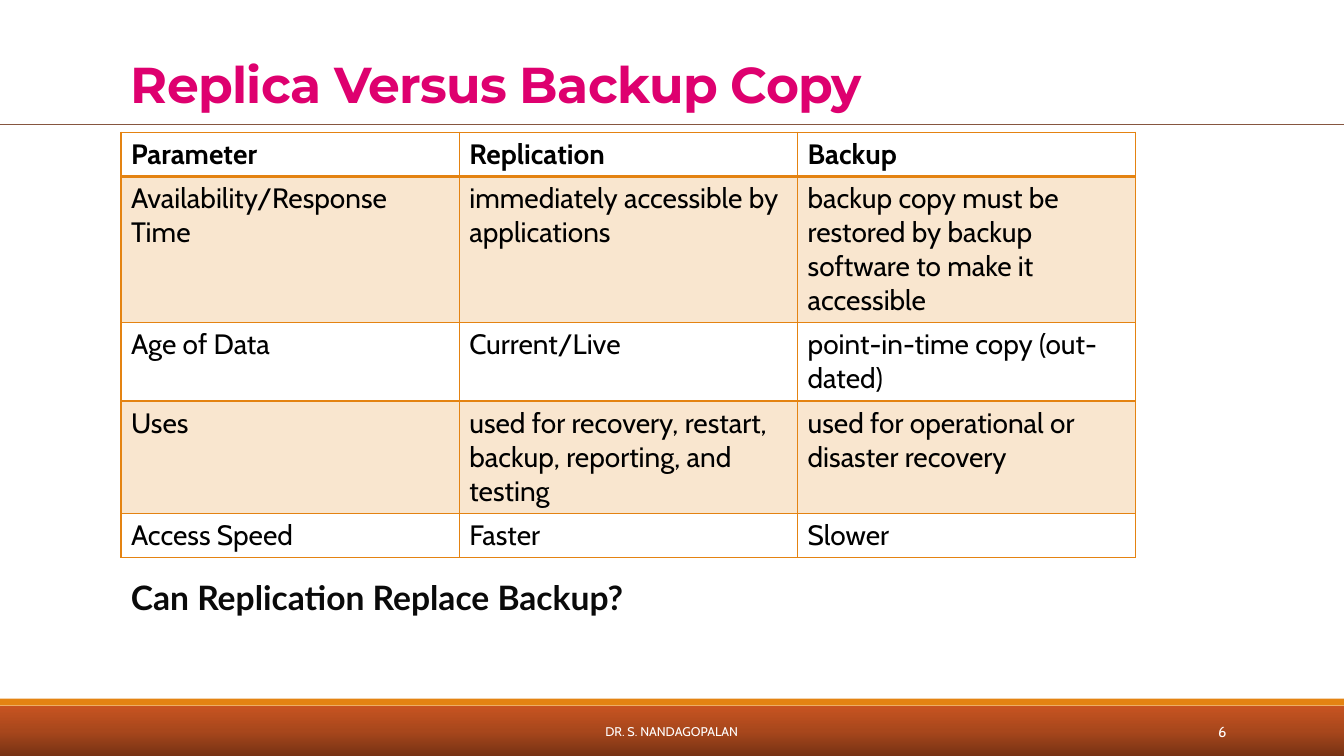
from copy import deepcopy
from dataclasses import dataclass

from lxml import etree
from pptx import Presentation
from pptx.dml.color import RGBColor
from pptx.enum.shapes import MSO_CONNECTOR, MSO_SHAPE
from pptx.enum.text import MSO_ANCHOR, PP_ALIGN
from pptx.oxml.ns import qn
from pptx.util import Pt

RECT = MSO_SHAPE.RECTANGLE
LINE = MSO_CONNECTOR.STRAIGHT
TOP, MID, LOW = MSO_ANCHOR.TOP, MSO_ANCHOR.MIDDLE, MSO_ANCHOR.BOTTOM
LEFT, CENTER, RIGHT = PP_ALIGN.LEFT, PP_ALIGN.CENTER, PP_ALIGN.RIGHT


@dataclass(frozen=True)
class Theme:
    pink: str = "DE006F"
    orange: str = "E48312"
    brown: str = "865640"
    ink: str = "0A0A0A"
    black: str = "000000"
    white: str = "FFFFFF"
    fade: tuple = ("763214", "A8471C", "C85421")
    head: str = "Montserrat"
    body: str = "Cabin"
    ask: str = "Lato"
    title: float = 36
    note: float = 24
    cell: float = 20
    page: float = 10.5
    foot: float = 9


theme = Theme()


def add_run(para, text, font, size, color, bold=False):
    run = para.add_run()
    run.text = text
    run.font.name, run.font.size, run.font.bold = font, Pt(size), bold
    run.font.color.rgb = RGBColor.from_string(color)
    return run


def add_box(place, anchor, align, wrap=True):
    frame = slide.shapes.add_textbox(*map(Pt, place)).text_frame
    frame.word_wrap, frame.vertical_anchor = wrap, anchor
    frame.paragraphs[0].alignment = align
    return frame.paragraphs[0]


deck = Presentation()
deck.slide_width, deck.slide_height = Pt(960), Pt(540)
slide = deck.slides.add_slide(deck.slide_layouts[6])

# Footer bands
base = slide.shapes.add_shape(RECT, Pt(0), Pt(504), Pt(960), Pt(36))
base.fill.gradient()
base.fill.gradient_angle = 90
stops = base.fill._fill._gradFill.find(qn("a:gsLst"))
stops.insert(1, deepcopy(stops[0]))
for stop, place, color in zip(base.fill.gradient_stops, (0, 0.5, 1), theme.fade):
    stop.position = place
    stop.color.rgb = RGBColor.from_string(color)
strip = slide.shapes.add_shape(RECT, Pt(0), Pt(499), Pt(960), Pt(5))
strip.fill.solid()
strip.fill.fore_color.rgb = RGBColor.from_string(theme.orange)
for band in (base, strip):
    band.shadow.inherit = False
    band.line.fill.background()

# Rule under the title
rule = slide.shapes.add_connector(LINE, Pt(0), Pt(89), Pt(968), Pt(89))
rule.line.width = Pt(1.25)
rule.line.color.rgb = RGBColor.from_string(theme.brown)
etree.SubElement(rule._element.spPr, qn("a:effectLst"))

# Title
para = add_box((86.4, 22.3, 725, 62.6), LOW, LEFT)
para.line_spacing = 0.85
run = add_run(para, "Replica Versus Backup Copy", theme.head, theme.title, theme.pink, True)
run.font._element.set("spc", "-50")

# Comparison table
rows = [
    ("Parameter", "Replication", "Backup"),
    ("Availability/Response Time", "immediately accessible by applications",
     "backup copy must be restored by backup software to make it accessible"),
    ("Age of Data", "Current/Live", "point-in-time copy (out-dated)"),
    ("Uses", "used for recovery, restart, backup, reporting, and testing",
     "used for operational or disaster recovery"),
    ("Access Speed", "Faster", "Slower"),
]
highs = (31.5, 104.5, 56, 80.5, 31.5)
table = slide.shapes.add_table(
    len(rows), 3, Pt(86.4), Pt(94.5), Pt(725), Pt(sum(highs))).table
table.horz_banding = table.first_row = False
for col in table.columns:
    col.width = Pt(241.67)
for r, (words, high) in enumerate(zip(rows, highs)):
    table.rows[r].height = Pt(high)
    for c, text in enumerate(words):
        cell = table.cell(r, c)
        add_run(cell.text_frame.paragraphs[0], text, theme.body, theme.cell,
                theme.black, r == 0)
        # Edges come before the fill in the cell properties
        props = cell._tc.get_or_add_tcPr()
        for side in ("lnL", "lnR", "lnT", "lnB"):
            thick = (r, side) in ((0, "lnB"), (1, "lnT"))
            edge = etree.SubElement(props, qn("a:" + side), w=str(Pt(2 if thick else 1)))
            solid = etree.SubElement(edge, qn("a:solidFill"))
            etree.SubElement(solid, qn("a:srgbClr"), val=theme.orange)
        if r % 2:
            cell.fill.solid()
            cell.fill.fore_color.rgb = RGBColor.from_string(theme.orange)
            tint = props.find(qn("a:solidFill")).find(qn("a:srgbClr"))
            etree.SubElement(tint, qn("a:alpha"), val="20000")
        else:
            cell.fill.background()

# Footer text and closing question
para = add_box((290, 508.3, 379.5, 28.8), MID, CENTER)
add_run(para, "DR. S. NANDAGOPALAN", theme.body, theme.foot, theme.white)
para = add_box((780, 508.3, 103, 28.8), MID, RIGHT)
add_run(para, "6", theme.body, theme.page, theme.white)
para = add_box((86.4, 408.3, 406, 36), TOP, LEFT, False)
add_run(para, "Can Replication Replace Backup?", theme.ask, theme.note, theme.ink, True)

deck.save("out.pptx")
